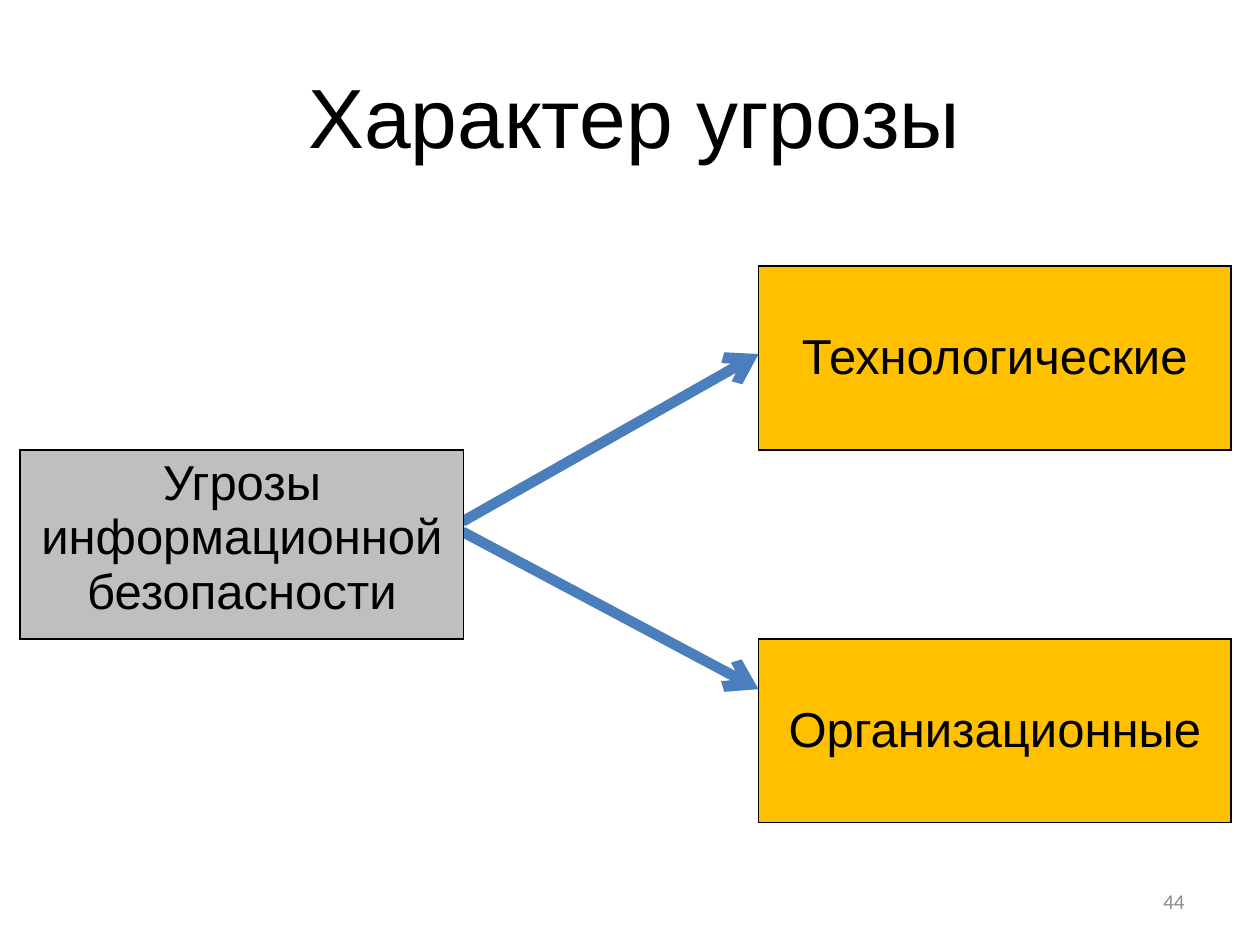
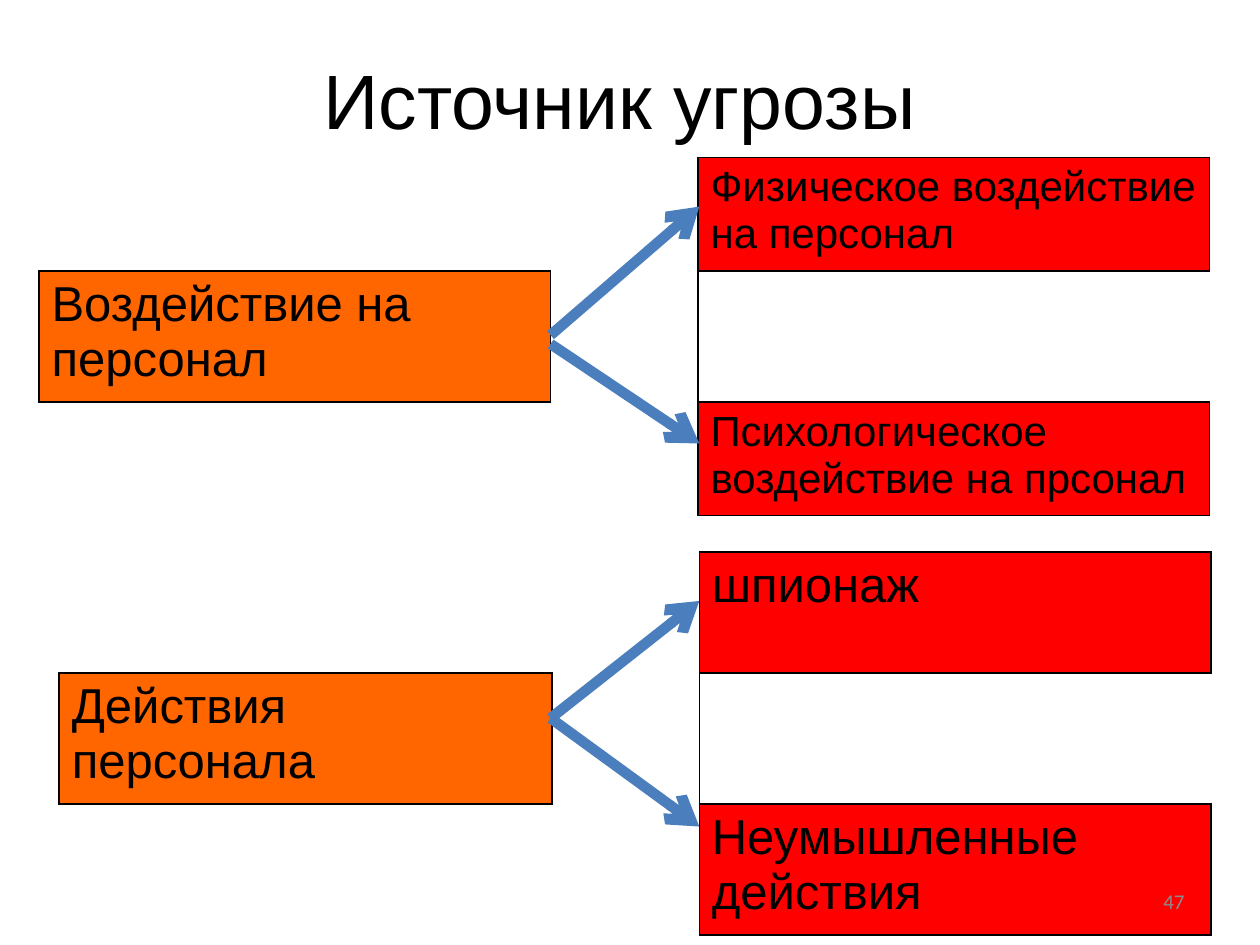
from lxml import etree
from pptx import Presentation
from pptx import util as u
from pptx.dml.color import RGBColor
from pptx.enum import shapes, text
from pptx.oxml import ns

BLACK = RGBColor(0x00, 0x00, 0x00)
GRAY = RGBColor(0xBF, 0xBF, 0xBF)
GOLD = RGBColor(0xFF, 0xC0, 0x00)
ORANGE = RGBColor(0xFF, 0x66, 0x00)
RED = RGBColor(0xFF, 0x00, 0x00)
BLUE = RGBColor(0x4B, 0x7E, 0xBC)
PALE = RGBColor(0x8C, 0x8C, 0x8C)
LEFT, MID, RIGHT = text.PP_ALIGN.LEFT, text.PP_ALIGN.CENTER, text.PP_ALIGN.RIGHT
TOP, CENTER = text.MSO_ANCHOR.TOP, text.MSO_ANCHOR.MIDDLE
PLAIN = "{2D5ABB26-0587-4C30-8999-92F81FD0307C}"
SIDES = (("lnL", 0, -1), ("lnR", 0, 1), ("lnT", -1, 0), ("lnB", 1, 0))


def write(frame, words, size, align, color=BLACK, font="Arial"):
    frame.word_wrap = True
    para = frame.paragraphs[0]
    para.alignment = align
    run = para.add_run()
    run.text = words
    run.font.name = font
    run.font.size = u.Pt(size)
    run.font.color.rgb = color


def grid(page, left, top, cols, rows, cells, align, rail):
    frame = page.shapes.add_table(3, 3, u.Inches(left), u.Inches(top),
                                  u.Inches(sum(cols)), u.Inches(sum(rows)))
    table = frame.table
    table.first_row = table.horz_banding = False
    frame.element.find(".//" + ns.qn("a:tableStyleId")).text = PLAIN
    for i in range(3):
        table.columns[i].width = u.Inches(cols[i])
        table.rows[i].height = u.Inches(rows[i])
    for r in range(3):
        for c in range(3):
            cell = table.cell(r, c)
            if (r, c) in cells:
                words, size, color, anchor = cells[r, c]
                cell.fill.solid()
                cell.fill.fore_color.rgb = color
                cell.vertical_anchor = anchor
                write(cell.text_frame, words, size, align)
            else:
                cell.fill.background()
            props = cell._tc.get_or_add_tcPr()
            for i, (side, down, over) in enumerate(SIDES):
                line = etree.Element(ns.qn("a:" + side), w=str(u.Pt(1)))
                inner = rail and (r, c, side) in ((1, 1, "lnR"), (1, 2, "lnL"))
                if (r, c) in cells or (r + down, c + over) in cells or inner:
                    fill = etree.SubElement(line, ns.qn("a:solidFill"))
                    etree.SubElement(fill, ns.qn("a:srgbClr"), val=str(BLACK))
                else:
                    etree.SubElement(line, ns.qn("a:noFill"))
                props.insert(i, line)


deck = Presentation()
deck.slide_width, deck.slide_height = u.Inches(10), u.Inches(7.5)
pages = []
for words, size, left, top, width in (
    ("Характер угрозы", 48, 0.23, 0.46, 9.61),
    ("Источник угрозы", 44, 0.39, 0.37, 9.06),
):
    page = deck.slides.add_slide(deck.slide_layouts[5])
    title = page.shapes.title
    title.left, title.top = u.Inches(left), u.Inches(top)
    title.width, title.height = u.Inches(width), u.Inches(0.88)
    title.text_frame.auto_size = text.MSO_AUTO_SIZE.NONE
    title.text_frame.vertical_anchor = TOP
    write(title.text_frame, words, size, MID)
    pages.append(page)
kind, source = pages

grid(source, 0.31, 1.25, (4.06, 1.17, 4.06), (0.9, 1.04, 0.9), {
    (0, 2): ("Физическое воздействие на персонал", 24, RED, TOP),
    (1, 0): ("Воздействие на персонал", 28, ORANGE, TOP),
    (2, 2): ("Психологическое воздействие на прсонал", 24, RED, TOP),
}, LEFT, True)
grid(source, 0.47, 4.38, (3.91, 1.17, 4.06), (0.96, 1.04, 1.04), {
    (0, 2): ("шпионаж", 28, RED, TOP),
    (1, 0): ("Действия персонала", 28, ORANGE, TOP),
    (2, 2): ("Неумышленные действия", 28, RED, TOP),
}, LEFT, True)

for page, *ends in (
    (kind, 3.67, 4.14, 6.02, 2.81),
    (kind, 3.67, 4.22, 6.02, 5.47),
    (source, 4.37, 2.66, 5.55, 1.64),
    (source, 4.37, 2.73, 5.55, 3.52),
    (source, 4.37, 5.7, 5.55, 4.77),
    (source, 4.37, 5.7, 5.55, 6.56),
):
    arrow = page.shapes.add_connector(shapes.MSO_CONNECTOR.STRAIGHT, *map(u.Inches, ends))
    arrow.line.color.rgb = BLUE
    arrow.line.width = u.Pt(6)
    etree.SubElement(arrow.line._get_or_add_ln(), ns.qn("a:tailEnd"), type="arrow")
    etree.SubElement(arrow.element.spPr, ns.qn("a:effectLst"))

grid(kind, 0.16, 2.11, (3.52, 2.34, 3.75), (1.46, 1.5, 1.46), {
    (0, 2): ("Технологические", 28, GOLD, CENTER),
    (1, 0): ("Угрозы информационной безопасности", 28, GRAY, TOP),
    (2, 2): ("Организационные", 28, GOLD, CENTER),
}, MID, False)

for page, num in zip(pages, ("44", "47")):
    box = page.shapes.add_textbox(*map(u.Inches, (7.17, 6.95, 2.33, 0.4)))
    box.text_frame.vertical_anchor = CENTER
    write(box.text_frame, num, 12, RIGHT, PALE, "Calibri")

deck.save("out.pptx")
